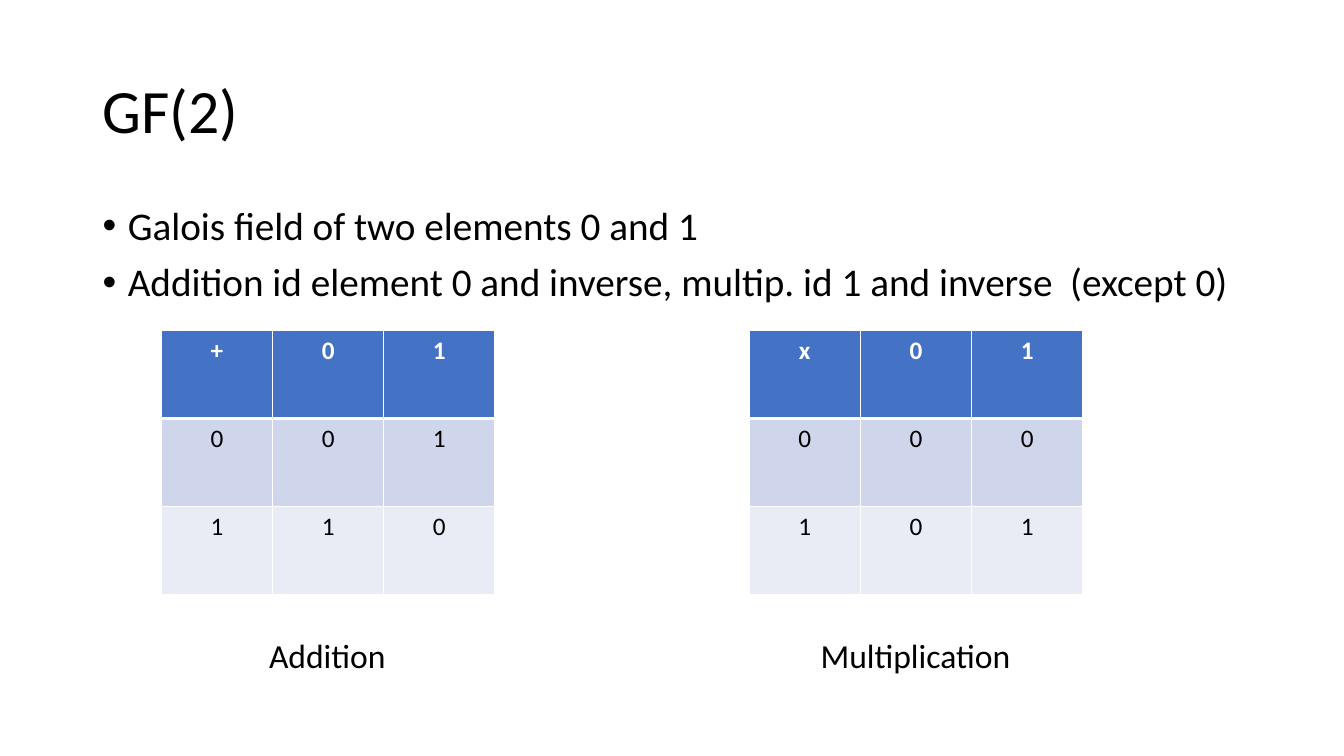
"""Build the GF(2) slide with its addition and multiplication tables."""
from dataclasses import dataclass

from lxml import etree
from pptx import Presentation
from pptx.dml.color import RGBColor
from pptx.enum.text import MSO_ANCHOR, MSO_AUTO_SIZE, PP_ALIGN
from pptx.oxml.ns import qn
from pptx.slide import Slide
from pptx.table import _Cell
from pptx.text.text import Font
from pptx.util import Inches, Pt

LEFT, CENTER = PP_ALIGN.LEFT, PP_ALIGN.CENTER
TOP, MIDDLE = MSO_ANCHOR.TOP, MSO_ANCHOR.MIDDLE
GROW = MSO_AUTO_SIZE.SHAPE_TO_FIT_TEXT
TITLE_ONLY = 5
BLACK, WHITE = "000000", "FFFFFF"
ROW_FILLS = ("4472C4", "CFD5EA", "E9EBF5")
FACTS = (
    "Galois field of two elements 0 and 1",
    "Addition id element 0 and inverse, multip. id 1 and inverse  (except 0)",
)


@dataclass(frozen=True)
class Operation:
    """One operation of the field, with its table and caption."""

    name: str
    table_left: float
    caption_left: float
    caption_width: float
    rows: tuple[str, ...]


OPERATIONS = (
    Operation("Addition", 1.6, 2.57, 1.37, ("+01", "001", "110")),
    Operation("Multiplication", 7.43, 8.04, 2.11, ("x01", "000", "101")),
)


def rgb(hex_colour: str) -> RGBColor:
    """Turn a hex string into a colour."""
    return RGBColor.from_string(hex_colour)


def style_font(font: Font, size: float, colour: str = BLACK, bold: bool = False) -> None:
    """Apply the slide's typeface with a size, colour and weight."""
    font.name = "Calibri"
    font.size = Pt(size)
    font.bold = bold
    font.color.rgb = rgb(colour)


def add_title(slide: Slide, text: str) -> None:
    """Place and format the title placeholder."""
    title = slide.shapes.title
    title.left, title.top = Inches(0.92), Inches(0.4)
    title.width, title.height = Inches(11.5), Inches(1.45)
    frame = title.text_frame
    frame.text = text
    frame.vertical_anchor = MIDDLE
    paragraph = frame.paragraphs[0]
    paragraph.alignment = LEFT
    paragraph.line_spacing = 0.9
    style_font(paragraph.runs[0].font, 44)


def add_facts(slide: Slide) -> None:
    """Add the bulleted facts about the field."""
    box = slide.shapes.add_textbox(Inches(0.92), Inches(2), Inches(11.5), Inches(4.76))
    frame = box.text_frame
    frame.word_wrap = True
    frame.text = "\n".join(FACTS)
    for index, paragraph in enumerate(frame.paragraphs):
        properties = paragraph._p.get_or_add_pPr()
        properties.set("marL", str(Inches(0.25)))
        properties.set("indent", str(Inches(-0.25)))
        etree.SubElement(properties, qn("a:buFont"), typeface="Arial")
        etree.SubElement(properties, qn("a:buChar"), char="•")
        paragraph.line_spacing = 0.9
        paragraph.space_before = Pt(10 if index else 0)
        style_font(paragraph.runs[0].font, 28)


def add_borders(cell: _Cell, row: int) -> None:
    """Draw white cell borders, heavier between header and body."""
    properties = cell._tc.get_or_add_tcPr()
    heavy_side = {0: "B", 1: "T"}.get(row)
    for side in "LRTB":
        width = Pt(3 if side == heavy_side else 1)
        line = etree.SubElement(properties, qn(f"a:ln{side}"), w=str(width))
        fill = etree.SubElement(line, qn("a:solidFill"))
        etree.SubElement(fill, qn("a:srgbClr"), val=WHITE)


def add_operation(slide: Slide, operation: Operation) -> None:
    """Add the table of an operation and the caption below it."""
    table = slide.shapes.add_table(
        3, 3, Inches(operation.table_left), Inches(3.28), Inches(3.31), Inches(2.62)
    ).table
    for row, symbols in enumerate(operation.rows):
        for column, symbol in enumerate(symbols):
            cell = table.cell(row, column)
            add_borders(cell, row)
            cell.fill.solid()
            cell.fill.fore_color.rgb = rgb(ROW_FILLS[row])
            cell.vertical_anchor = TOP
            cell.text_frame.text = symbol
            paragraph = cell.text_frame.paragraphs[0]
            paragraph.alignment = CENTER
            is_header = row == 0
            style_font(paragraph.runs[0].font, 18, WHITE if is_header else BLACK, is_header)

    caption = slide.shapes.add_textbox(
        Inches(operation.caption_left), Inches(6.25), Inches(operation.caption_width), Inches(0.5)
    ).text_frame
    caption.word_wrap = False
    caption.auto_size = GROW
    caption.text = operation.name
    style_font(caption.paragraphs[0].runs[0].font, 24)


def main() -> None:
    """Build and save the slide."""
    presentation = Presentation()
    presentation.slide_width, presentation.slide_height = Inches(13.33), Inches(7.5)
    slide = presentation.slides.add_slide(presentation.slide_layouts[TITLE_ONLY])
    add_title(slide, "GF(2)")
    add_facts(slide)
    for operation in OPERATIONS:
        add_operation(slide, operation)
    presentation.save("out.pptx")


if __name__ == "__main__":
    main()
